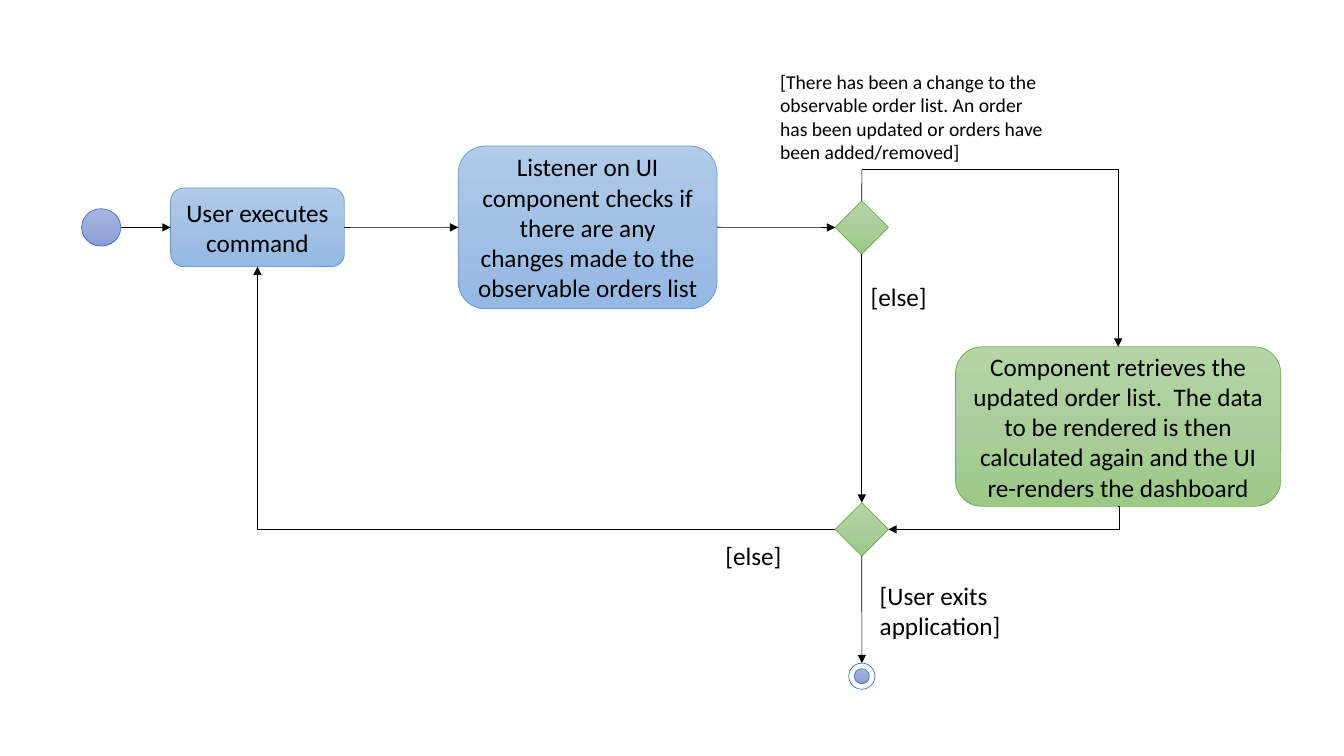
import copy

import pptx
import pptx.dml.color
import pptx.enum.shapes
import pptx.enum.text
import pptx.oxml.ns
import pptx.oxml.xmlchemy
import pptx.util
from pptx.util import Cm

SHAPE = pptx.enum.shapes.MSO_SHAPE
CONNECTOR = pptx.enum.shapes.MSO_CONNECTOR
TOP, LEFT, BOTTOM, RIGHT = range(4)

COLORS = {"text": "000000", "arrow": "000000", "ring": "FFFFFF"}
THEMES = {  # outline, then gradient from top to bottom
    "indigo": ("4472C4", ("A8B7DF", "9AABD9", "889ED7")),
    "blue": ("5B9BD5", ("B1CBE9", "A3C1E5", "93B9E4")),
    "green": ("70AD47", ("B5D5A7", "AACE9A", "9CC987")),
}
FONT = "Calibri"

# Centre lines of the flow, in cm
MAIN_Y, MERGE_Y, END_Y = 5.73, 13.34, 17.04
USER_X, DECISION_X, RETRIEVE_X = 6.49, 21.72, 28.18
BRANCH_Y = 4.27

# name: (preset, theme, centre x, centre y, width, height, text)
NODES = {
    "start": (SHAPE.OVAL, "indigo", 2.55, MAIN_Y, 0.99, 0.94, ""),
    "user": (SHAPE.ROUNDED_RECTANGLE, "blue", USER_X, MAIN_Y, 4.38, 1.98,
             "User executes command"),
    "listener": (SHAPE.ROUNDED_RECTANGLE, "blue", 14.81, MAIN_Y, 6.52, 4.1,
                 "Listener on UI component checks if there are any changes "
                 "made to the observable orders list"),
    "decision": (SHAPE.DIAMOND, "green", DECISION_X, MAIN_Y, 1.34, 1.34, ""),
    "retrieve": (SHAPE.ROUNDED_RECTANGLE, "green", RETRIEVE_X, 10.75, 8.2, 4.02,
                 "Component retrieves the updated order list.  The data to be rendered "
                 "is then calculated again and the UI re-renders the dashboard"),
    "merge": (SHAPE.DIAMOND, "green", DECISION_X, MERGE_Y, 1.34, 1.34, ""),
    "end ring": (SHAPE.OVAL, "indigo", DECISION_X, END_Y, 0.66, 0.66, ""),
    "end dot": (SHAPE.OVAL, "indigo", DECISION_X, END_Y, 0.38, 0.38, ""),
}

# (left, top, width, height, size, text)
LABELS = [
    (21.69, 6.96, 2.36, 1.02, 18, "[else]"),
    (19.41, 1.63, 7.42, 2.64, 14,
     "[There has been a change to the observable order list. An order has been "
     "updated or orders have been added/removed]"),
    (21.92, 14.5, 3.89, 1.8, 18, "[User exits application]"),
    (18.03, 13.49, 2.36, 1.02, 18, "[else]"),
]

# (from node, side, to node, side)
STRAIGHT_ARROWS = [
    ("user", RIGHT, "listener", LEFT),
    ("listener", RIGHT, "decision", LEFT),
    ("decision", BOTTOM, "merge", TOP),
    ("merge", BOTTOM, "end ring", TOP),
]


def rgb(value):
    return pptx.dml.color.RGBColor.from_string(value)


def new_element(tag, **attributes):
    element = pptx.oxml.xmlchemy.OxmlElement(tag)
    for name, value in attributes.items():
        element.set(name, value)
    return element


def fill_gradient(shape, stops):
    """Fill with three evenly spaced colours running downwards."""
    shape.fill.gradient()
    shape.fill.gradient_angle = 270
    first_stop = shape._element.spPr.find(".//" + pptx.oxml.ns.qn("a:gs"))
    first_stop.addnext(copy.deepcopy(first_stop))
    for index, (stop, color) in enumerate(zip(shape.fill.gradient_stops, stops)):
        stop.position = index / 2
        stop.color.rgb = rgb(color)


def write_text(shape, text, size, alignment):
    frame = shape.text_frame
    frame.word_wrap = True
    frame.text = text
    paragraph = frame.paragraphs[0]
    paragraph.alignment = alignment
    font = paragraph.runs[0].font
    font.name, font.size = FONT, pptx.util.Pt(size)
    font.color.rgb = rgb(COLORS["text"])


def add_node(slide, preset, theme, center_x, center_y, width, height, text):
    shape = slide.shapes.add_shape(preset, Cm(center_x - width / 2), Cm(center_y - height / 2),
                                   Cm(width), Cm(height))
    outline, stops = THEMES[theme]
    shape.shadow.inherit = False
    fill_gradient(shape, stops)
    shape.line.color.rgb = rgb(outline)
    shape.line.width = pptx.util.Pt(0.5)
    if text:
        shape.text_frame.vertical_anchor = pptx.enum.text.MSO_ANCHOR.MIDDLE
        write_text(shape, text, 18, pptx.enum.text.PP_ALIGN.CENTER)
    return shape


def add_line(slide, kind, start=(0, 0), end=(0, 0), arrow=True):
    line = slide.shapes.add_connector(kind, *start, *end)
    line.line.color.rgb = rgb(COLORS["arrow"])
    line.line.width = pptx.util.Pt(0.5)
    properties = line._element.spPr
    if arrow:
        outline = properties.find(pptx.oxml.ns.qn("a:ln"))
        outline.append(new_element("a:tailEnd", type="triangle"))
    properties.append(new_element("a:effectLst"))
    return line


def add_corner_arrow(slide, start, end):
    """Run horizontally from start, then vertically to end."""
    line = add_line(slide, CONNECTOR.ELBOW, start, end)
    line._element.spPr.find(pptx.oxml.ns.qn("a:prstGeom")).set("prst", "bentConnector2")


def add_return_arrow(slide, start, end):
    """Run vertically from start, then horizontally to end."""
    line = add_line(slide, CONNECTOR.ELBOW, start, end)
    adjustments = line._element.spPr.find(".//" + pptx.oxml.ns.qn("a:avLst"))
    adjustments.append(new_element("a:gd", name="adj1", fmla="val -500"))


def main():
    presentation = pptx.Presentation()
    presentation.slide_width, presentation.slide_height = Cm(33.87), Cm(19.05)
    slide = presentation.slides.add_slide(presentation.slide_layouts[6])

    nodes = {name: add_node(slide, *node) for name, node in NODES.items()}
    ring = nodes["end ring"]
    ring.fill.solid()
    ring.fill.fore_color.rgb = rgb(COLORS["ring"])

    for source, source_side, target, target_side in STRAIGHT_ARROWS:
        line = add_line(slide, CONNECTOR.STRAIGHT)
        line.begin_connect(nodes[source], source_side)
        line.end_connect(nodes[target], target_side)

    start, user, retrieve = nodes["start"], nodes["user"], nodes["retrieve"]
    decision, merge = nodes["decision"], nodes["merge"]
    first = add_line(slide, CONNECTOR.STRAIGHT, (start.left + start.width, Cm(MAIN_Y)))
    first.end_connect(user, LEFT)

    branch = (Cm(DECISION_X), Cm(BRANCH_Y))
    stem = add_line(slide, CONNECTOR.STRAIGHT, branch, arrow=False)
    stem.end_connect(decision, TOP)
    add_corner_arrow(slide, branch, (Cm(RETRIEVE_X), retrieve.top))
    add_return_arrow(slide, (Cm(RETRIEVE_X), retrieve.top + retrieve.height),
                     (merge.left + merge.width, Cm(MERGE_Y)))
    add_corner_arrow(slide, (merge.left, Cm(MERGE_Y)), (Cm(USER_X), user.top + user.height))

    for left, top, width, height, size, text in LABELS:
        label = slide.shapes.add_textbox(Cm(left), Cm(top), Cm(width), Cm(height))
        write_text(label, text, size, pptx.enum.text.PP_ALIGN.LEFT)

    slide.shapes.add_group_shape([ring, nodes["end dot"]])
    presentation.save("out.pptx")


if __name__ == "__main__":
    main()
